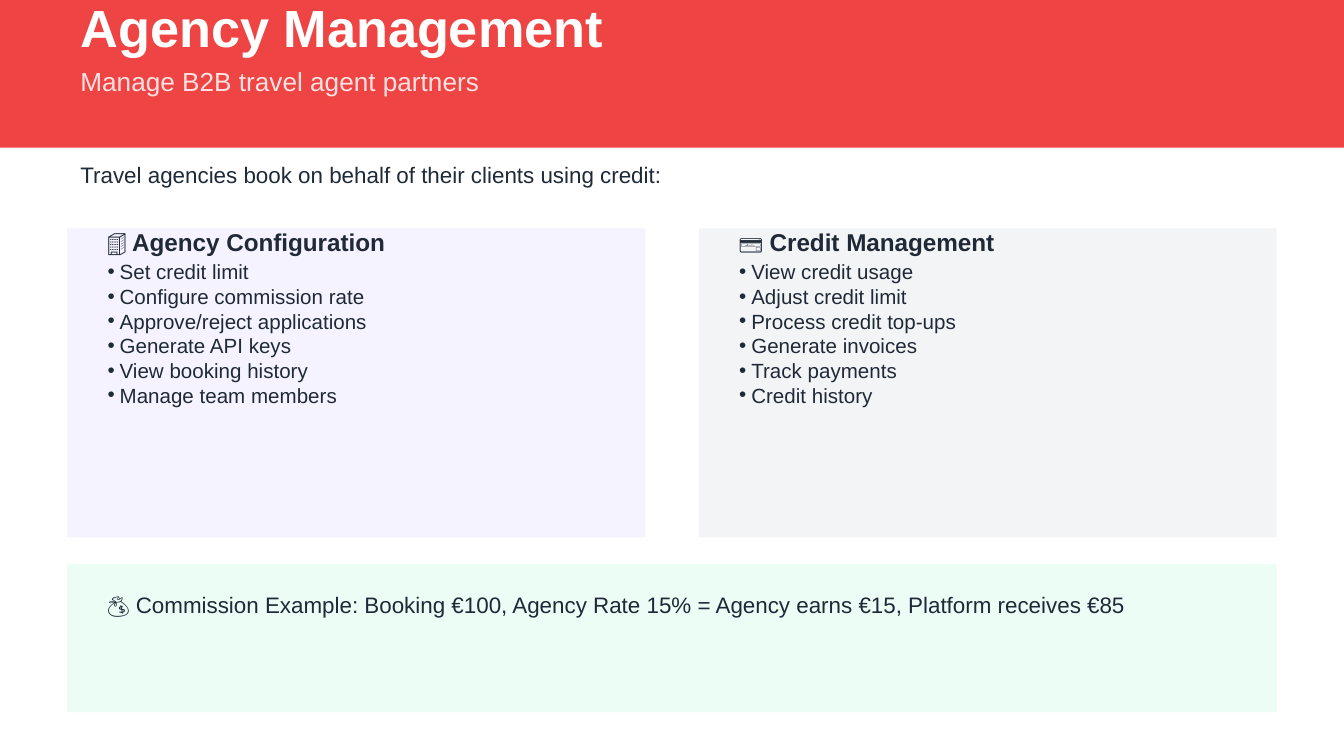
"""Build the agency management slide."""
from lxml import etree
from pptx import Presentation
from pptx import util as u
from pptx.dml import color
from pptx.enum import shapes, text
from pptx.oxml import ns

HUES = {
    "red": "EF4444",
    "white": "FFFFFF",
    "pink": "FEE2E2",
    "ink": "1F2937",
    "violet": "F5F3FF",
    "gray": "F3F4F6",
    "mint": "ECFDF5",
}
CARDS = [
    ("🏢 Agency Configuration", "violet", [
        "Set credit limit",
        "Configure commission rate",
        "Approve/reject applications",
        "Generate API keys",
        "View booking history",
        "Manage team members",
    ]),
    ("💳 Credit Management", "gray", [
        "View credit usage",
        "Adjust credit limit",
        "Process credit top-ups",
        "Generate invoices",
        "Track payments",
        "Credit history",
    ]),
]
WIDE = 10
EDGE, PAD = 0.5, 0.2
CARD, GAP = 4.3, 0.4
LINE = 0.4


def rgb(hue):
    return color.RGBColor.from_string(HUES[hue])


def panel(slide, x, y, w, h, hue):
    box = slide.shapes.add_shape(
        shapes.MSO_SHAPE.RECTANGLE, *map(u.Inches, (x, y, w, h)))
    box.shadow.inherit = False
    box.fill.solid()
    box.fill.fore_color.rgb = rgb(hue)
    box.line.fill.background()
    slide.shapes.element.insert(2, box.element)


def place(box, x, y, w, h):
    box.left, box.top, box.width, box.height = map(u.Inches, (x, y, w, h))
    frame = box.text_frame
    frame.word_wrap = True
    frame.auto_size = text.MSO_AUTO_SIZE.NONE
    frame.vertical_anchor = text.MSO_ANCHOR.MIDDLE
    return frame


def write(para, words, size, hue="ink", bold=False):
    para.alignment = text.PP_ALIGN.LEFT
    para.space_before = u.Pt(0)
    run = para.add_run()
    run.text = words
    run.font.name = "Arial"
    run.font.size = u.Pt(size)
    run.font.bold = bold
    run.font.color.rgb = rgb(hue)


def label(slide, words, x, mid, w, size, hue="ink", bold=False):
    box = slide.shapes.add_textbox(0, 0, 0, 0)
    frame = place(box, x, mid - LINE / 2, w, LINE)
    write(frame.paragraphs[0], words, size, hue, bold)


def bullet(para):
    props = para._p.get_or_add_pPr()
    props.set("marL", str(u.Inches(0.09)))
    props.set("indent", str(u.Inches(-0.09)))
    etree.SubElement(props, ns.qn("a:buFont")).set("typeface", "Arial")
    etree.SubElement(props, ns.qn("a:buChar")).set("char", "•")


def items(holder, lines, x, y, w, h):
    frame = place(holder, x, y, w, h)
    for i, words in enumerate(lines):
        para = frame.add_paragraph() if i else frame.paragraphs[0]
        write(para, words, 11)
        para.line_spacing = u.Pt(13.2)
        bullet(para)


def main():
    deck = Presentation()
    deck.slide_width = u.Inches(WIDE)
    deck.slide_height = u.Inches(WIDE * 9 / 16)
    slide = deck.slides.add_slide(deck.slide_layouts[3])
    title, *lists = slide.placeholders

    panel(slide, 0, 0, WIDE, 1.1, "red")
    frame = place(title, EDGE, 0, 7.5, LINE)
    write(frame.paragraphs[0], "Agency Management", 28, "white", True)
    label(slide, "Manage B2B travel agent partners", EDGE, 0.6, 7.5, 14, "pink")
    label(slide, "Travel agencies book on behalf of their clients using credit:",
          EDGE, 1.3, 7.5, 12)

    for i, (head, hue, lines) in enumerate(CARDS):
        x = EDGE + i * (CARD + GAP)
        panel(slide, x, 1.7, CARD, 2.3, hue)
        label(slide, head, x + PAD, 1.8, CARD - PAD, 13, bold=True)
        items(lists[i], lines, x + PAD, 1.88, CARD - PAD, 1.2)

    panel(slide, EDGE, 4.2, 2 * CARD + GAP, 1.1, "mint")
    label(slide, "💰 Commission Example: Booking €100, Agency Rate 15% = "
          "Agency earns €15, Platform receives €85", EDGE + PAD, 4.5, 8.5, 12)
    deck.save("out.pptx")


if __name__ == "__main__":
    main()
